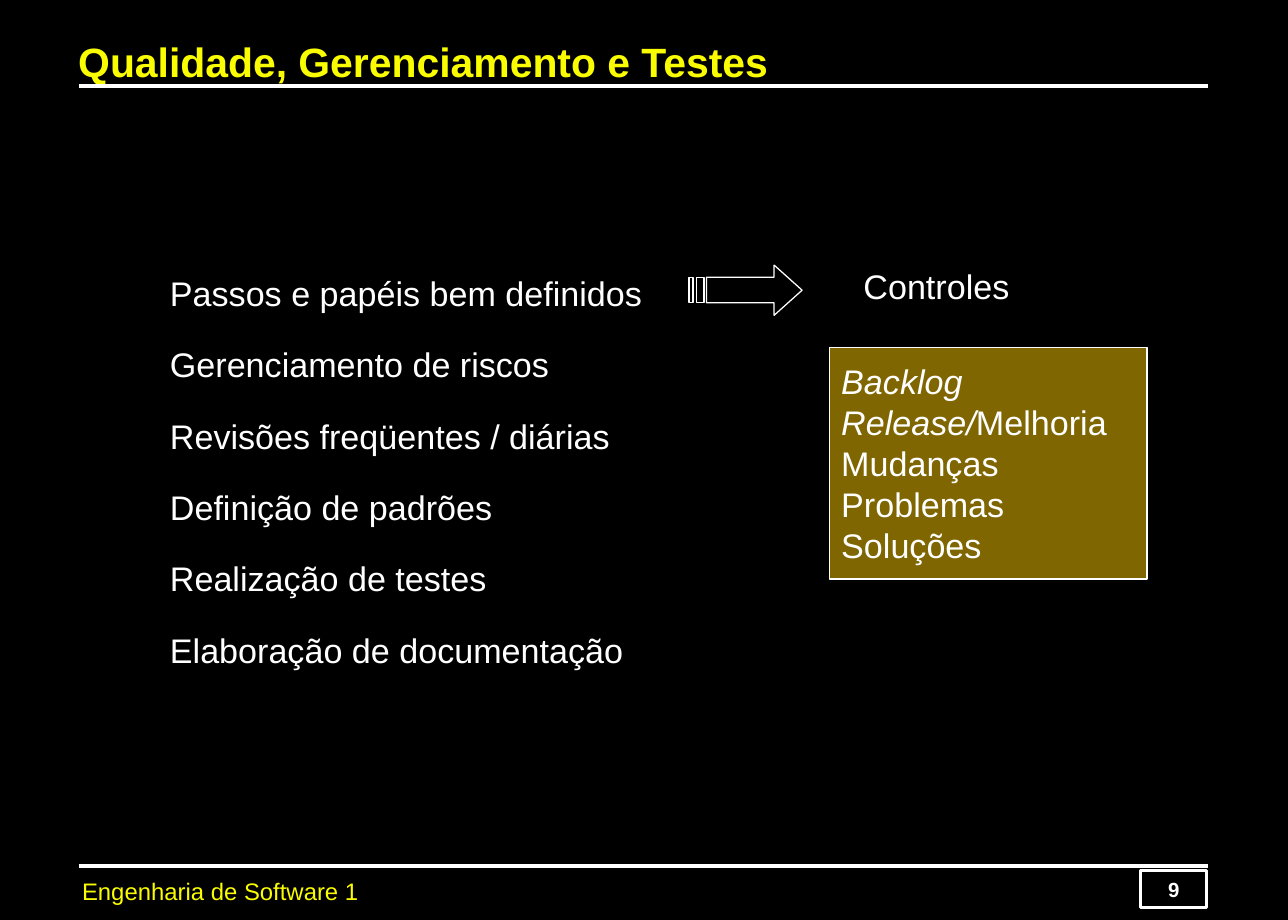
from lxml import etree
from pptx import Presentation
from pptx.dml.color import RGBColor
from pptx.enum.shapes import MSO_CONNECTOR, MSO_SHAPE
from pptx.enum.text import MSO_ANCHOR, MSO_AUTO_SIZE, PP_ALIGN
from pptx.oxml.ns import qn
from pptx.util import Cm, Pt

# Content: each line is a list of (text, italic) runs
TITLE = "Qualidade, Gerenciamento e Testes"
FOOTER = "Engenharia de Software 1"
PAGE_NUMBER = "9"
PRACTICES = [
    "Passos e papéis bem definidos",
    "Gerenciamento de riscos",
    "Revisões freqüentes / diárias",
    "Definição de padrões",
    "Realização de testes",
    "Elaboração de documentação",
]
CONTROLS_LABEL = "Controles"
CONTROLS = [
    [("Backlog", True)],
    [("Release/", True), ("Melhoria", False)],
    [("Mudanças", False)],
    [("Problemas", False)],
    [("Soluções", False)],
]

FONT = "Arial"
BLACK = RGBColor(0x00, 0x00, 0x00)
WHITE = RGBColor(0xFF, 0xFF, 0xFF)
YELLOW = RGBColor(0xFA, 0xFD, 0x00)
GOLD = RGBColor(0xFF, 0xCC, 0x00)

# Layout in centimetres
RULE_LEFT, RULE_RIGHT = 1.63, 25.02
RULE_HEIGHTS = (1.78, 17.93)
ARROW_TOP, ARROW_BOTTOM = 5.49, 6.53
SHAFT_TOP, SHAFT_BOTTOM = 5.74, 6.27
ARROW_NECK, ARROW_TIP = 16.03, 16.61
SHAFT_LEFT = 14.63
STRIPES = [(14.43, 14.58), (14.27, 14.35)]


def plain(text):
    return [(text, False)]


def write(shape, lines, size, color=WHITE, bold=False, align=PP_ALIGN.LEFT,
          anchor=MSO_ANCHOR.TOP, gap=0, indent=0):
    frame = shape.text_frame
    frame.auto_size = MSO_AUTO_SIZE.NONE
    frame.word_wrap = True
    frame.vertical_anchor = anchor
    frame.margin_left = Cm(0.25 + indent)
    frame.margin_right = Cm(0.25)
    frame.margin_top = frame.margin_bottom = Cm(0.13)
    for index, runs in enumerate(lines):
        paragraph = frame.add_paragraph() if index else frame.paragraphs[0]
        paragraph.alignment = align
        paragraph.space_before = Pt(gap if index else 0)
        for text, italic in runs:
            run = paragraph.add_run()
            run.text = text
            font = run.font
            font.name, font.size = FONT, Pt(size)
            font.bold, font.italic = bold, italic
            font.color.rgb = color


def outline(shape, fill, width):
    shape.shadow.inherit = False
    shape.fill.solid()
    shape.fill.fore_color.rgb = fill
    shape.line.color.rgb = WHITE
    shape.line.width = Pt(width)


def add_text(slide, box, lines, size, **style):
    shape = slide.shapes.add_textbox(*map(Cm, box))
    write(shape, lines, size, **style)


def add_box(slide, box, fill, width):
    shape = slide.shapes.add_shape(MSO_SHAPE.RECTANGLE, *map(Cm, box))
    outline(shape, fill, width)
    return shape


def add_rule(slide, y):
    rule = slide.shapes.add_connector(
        MSO_CONNECTOR.STRAIGHT, Cm(RULE_LEFT), Cm(y), Cm(RULE_RIGHT), Cm(y))
    rule.line.color.rgb = WHITE
    rule.line.width = Pt(2)
    etree.SubElement(rule._element.spPr, qn("a:effectLst"))


def add_striped_arrow(slide):
    middle = (ARROW_TOP + ARROW_BOTTOM) / 2
    contours = [[
        (ARROW_NECK, ARROW_TOP), (ARROW_NECK, SHAFT_TOP),
        (SHAFT_LEFT, SHAFT_TOP), (SHAFT_LEFT, SHAFT_BOTTOM),
        (ARROW_NECK, SHAFT_BOTTOM), (ARROW_NECK, ARROW_BOTTOM),
        (ARROW_TIP, middle),
    ]]
    for left, right in STRIPES:
        contours.append([(left, SHAFT_TOP), (left, SHAFT_BOTTOM),
                         (right, SHAFT_BOTTOM), (right, SHAFT_TOP)])
    builder = None
    for contour in contours:
        start, *rest = [(Cm(x), Cm(y)) for x, y in contour]
        if builder is None:
            builder = slide.shapes.build_freeform(*start)
        else:
            builder.move_to(*start)
        builder.add_line_segments(rest, close=True)
    outline(builder.convert_to_shape(), BLACK, 0.75)


def main():
    presentation = Presentation()
    presentation.slide_width, presentation.slide_height = Cm(26.67), Cm(19.05)
    slide = presentation.slides.add_slide(presentation.slide_layouts[5])
    slide.background.fill.solid()
    slide.background.fill.fore_color.rgb = BLACK

    # Rules, footer and page number
    for y in RULE_HEIGHTS:
        add_rule(slide, y)
    add_text(slide, (1.45, 18.03, 12.57, 0.86), [plain(FOOTER)], 14, color=YELLOW)
    number_box = add_box(slide, (23.62, 18.03, 1.37, 0.76), BLACK, 1.5)
    write(number_box, [plain(PAGE_NUMBER)], 12, bold=True, align=PP_ALIGN.CENTER)

    # Title
    title = slide.shapes.title
    title.left, title.top, title.width, title.height = map(
        Cm, (1.37, 0.43, 24.77, 1.47))
    write(title, [plain(TITLE)], 24, color=YELLOW, bold=True,
          anchor=MSO_ANCHOR.BOTTOM)

    # Practices, arrow and controls
    add_text(slide, (2.31, 5.51, 12.5, 8.89), [plain(text) for text in PRACTICES],
             20, gap=17.9, indent=0.96)
    add_striped_arrow(slide)
    add_text(slide, (17.63, 5.36, 4, 1.12), [plain(CONTROLS_LABEL)], 20)
    controls_box = add_box(slide, (17.17, 7.19, 6.58, 4.8), GOLD, 0.75)
    color = controls_box._element.spPr.find(qn("a:solidFill"))[0]
    etree.SubElement(color, qn("a:alpha"), val="50000")
    write(controls_box, CONTROLS, 20, anchor=MSO_ANCHOR.MIDDLE)

    presentation.save("out.pptx")


if __name__ == "__main__":
    main()
